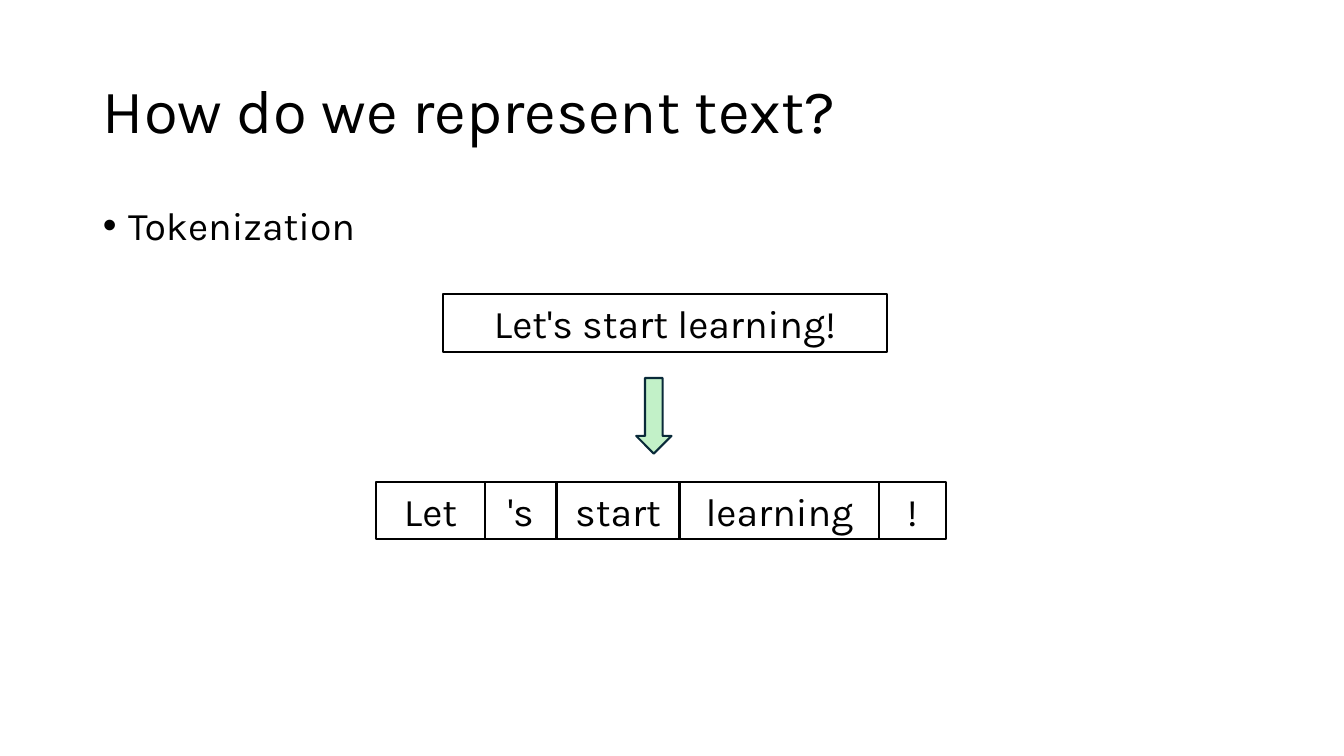
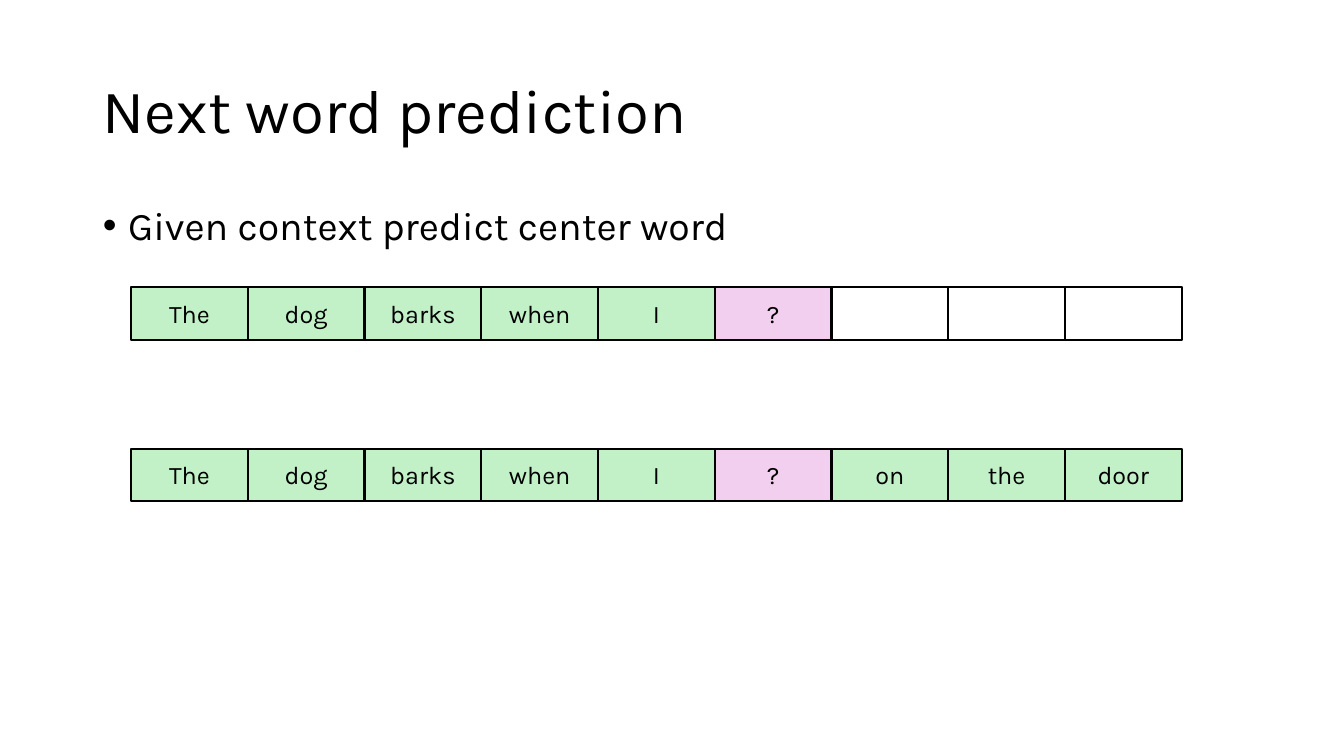
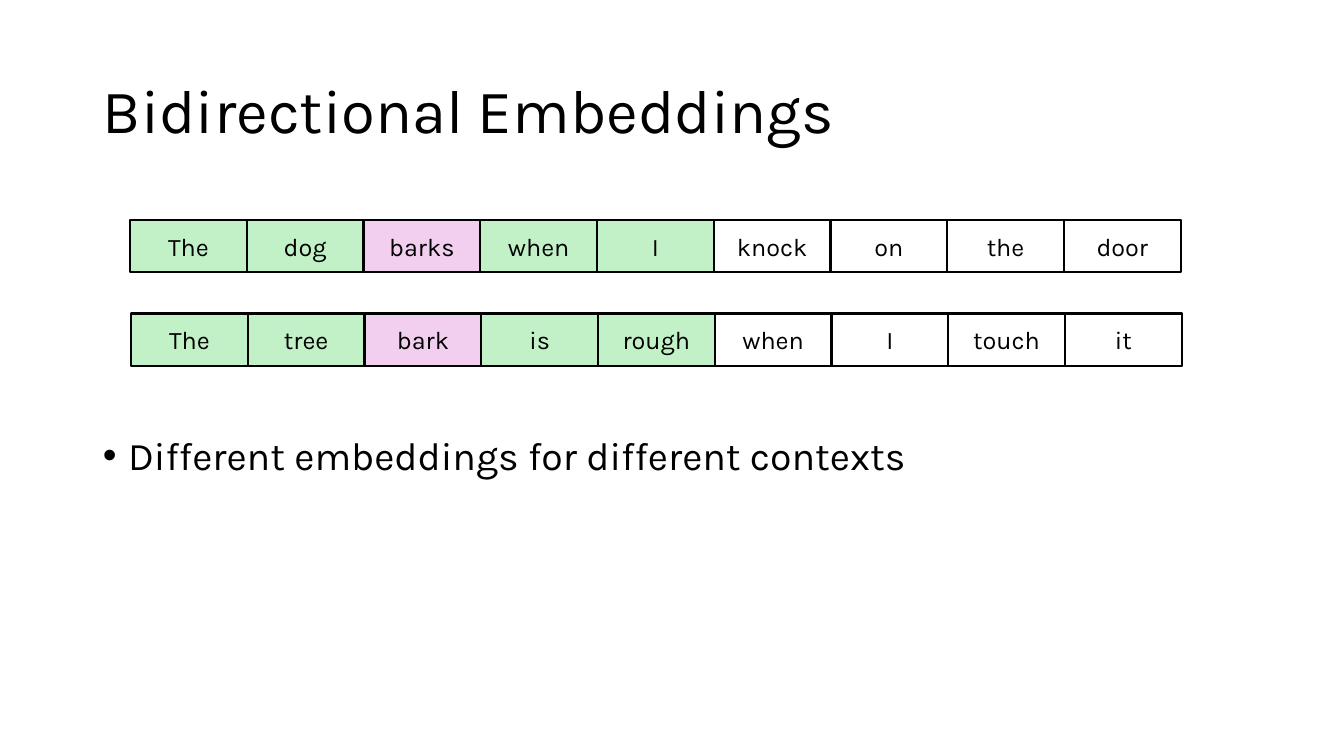
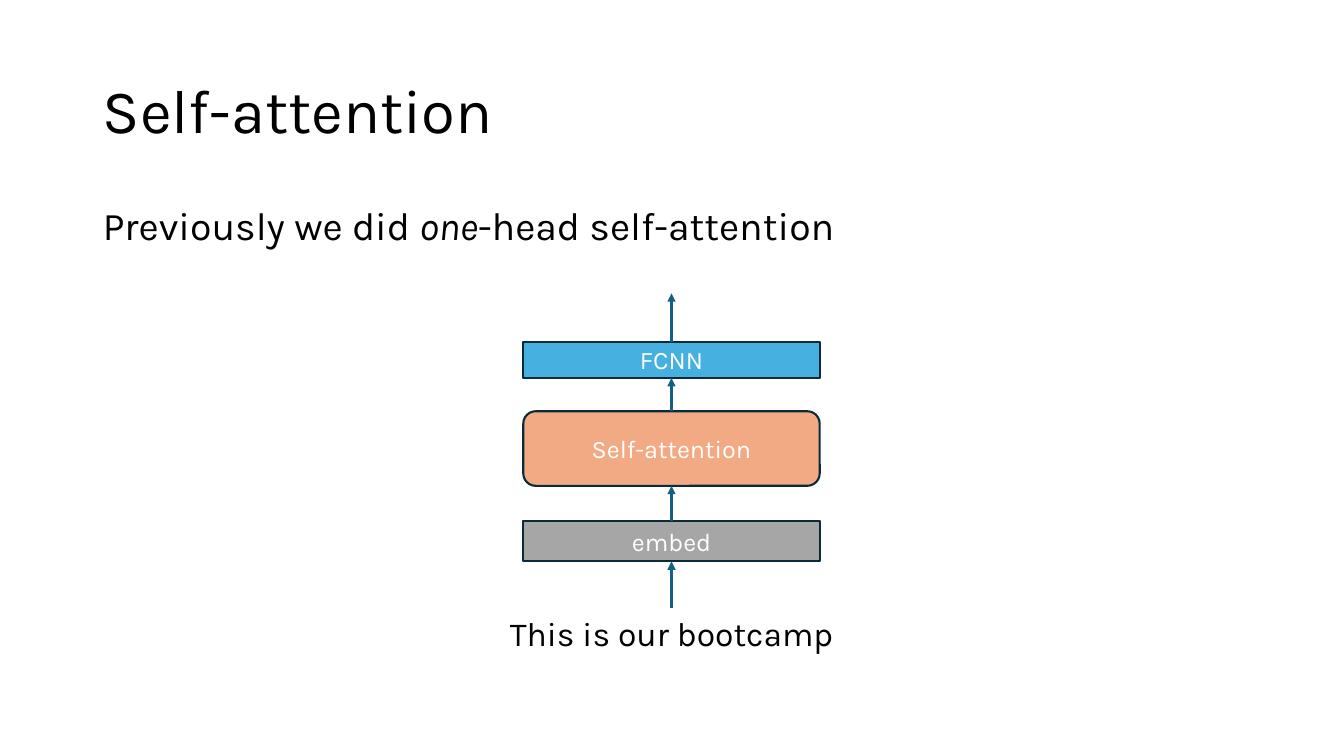
from dataclasses import dataclass
from itertools import accumulate, pairwise

from lxml.etree import SubElement
from pptx import Presentation
from pptx.dml.color import RGBColor
from pptx.enum.shapes import MSO_CONNECTOR, MSO_SHAPE as SHAPE
from pptx.enum.text import MSO_ANCHOR as ANCHOR, MSO_AUTO_SIZE as AUTO, PP_ALIGN as ALIGN
from pptx.oxml.ns import qn
from pptx.util import Inches, Pt

FONT = "Karla"
BLACK = RGBColor(0x00, 0x00, 0x00)
WHITE = RGBColor(0xFF, 0xFF, 0xFF)
GREEN = RGBColor(0xC2, 0xF1, 0xC8)
PINK = RGBColor(0xF2, 0xCF, 0xEE)
GRAY = RGBColor(0xA6, 0xA6, 0xA6)
ORANGE = RGBColor(0xF2, 0xAA, 0x84)
BLUE = RGBColor(0x46, 0xB1, 0xE1)
NAVY = RGBColor(0x09, 0x2A, 0x39)
TEAL = RGBColor(0x15, 0x60, 0x82)

LINE_WIDTH = Pt(1.5)
MARGIN, CONTENT_W = 0.92, 11.5
BODY_TOP, BODY_BOTTOM = 2, 6.76
ROW_LEFT, ROW_W, ROW_H = 1.3, 10.42, 0.52
TOKEN_H = 0.57
STACK_CENTER, LAYER_W = 6.66, 2.94


@dataclass
class WordRow:
    words: list[str]
    top: float
    target: int
    context: range
    left: float = ROW_LEFT


@dataclass
class Layer:
    name: str
    top: float
    height: float
    fill: RGBColor
    kind: SHAPE = SHAPE.RECTANGLE


def write(p, text: str, *, size: float, color: RGBColor = BLACK,
          italic: bool = False, align: ALIGN = ALIGN.CENTER) -> None:
    """Append a formatted run to the paragraph."""
    p.alignment = align
    r = p.add_run()
    r.text = text
    f = r.font
    f.name, f.size, f.italic = FONT, Pt(size), italic
    f.color.rgb = color


def place(sp, left: float, top: float, width: float, height: float) -> None:
    sp.left, sp.top = Inches(left), Inches(top)
    sp.width, sp.height = Inches(width), Inches(height)


def add_slide(prs, title: str, body: list[str], *, bullet: bool = True,
              italic: str = "", body_top: float = BODY_TOP):
    """Add a title and one body line, given as the runs that make it up."""
    s = prs.slides.add_slide(prs.slide_layouts[1])
    heading, content = s.shapes.title, s.placeholders[1]
    place(heading, MARGIN, 0.4, CONTENT_W, 1.45)
    place(content, MARGIN, body_top, CONTENT_W, BODY_BOTTOM - body_top)
    for sp in (heading, content):
        sp.text_frame.auto_size = AUTO.NONE
        p = sp.text_frame.paragraphs[0]
        p.line_spacing, p.space_before = 0.9, Pt(0)
    heading.text_frame.vertical_anchor = ANCHOR.MIDDLE
    write(heading.text_frame.paragraphs[0], title, size=44, align=ALIGN.LEFT)

    p = content.text_frame.paragraphs[0]
    pPr = p._p.get_or_add_pPr()
    indent = Inches(0.25) if bullet else 0
    pPr.set("marL", str(indent))
    pPr.set("indent", str(-indent))
    if bullet:
        SubElement(pPr, qn("a:buFont"), typeface="Arial")
        SubElement(pPr, qn("a:buChar"), char="•")
    else:
        SubElement(pPr, qn("a:buNone"))
    for text in body:
        write(p, text, size=28, italic=text == italic, align=ALIGN.LEFT)
    return s


def add_box(s, left: float, top: float, width: float, height: float, text: str = "", *,
            fill: RGBColor = WHITE, line: RGBColor = BLACK, color: RGBColor = BLACK,
            size: float = 18, kind: SHAPE = SHAPE.RECTANGLE):
    sp = s.shapes.add_shape(kind, Inches(left), Inches(top), Inches(width), Inches(height))
    sp.shadow.inherit = False
    sp.fill.solid()
    sp.fill.fore_color.rgb = fill
    sp.line.color.rgb = line
    sp.line.width = LINE_WIDTH
    if text:
        tf = sp.text_frame
        tf.word_wrap = True
        tf.vertical_anchor = ANCHOR.MIDDLE
        write(tf.paragraphs[0], text, size=size, color=color)
    return sp


def add_word_row(s, row: WordRow) -> None:
    width = ROW_W / len(row.words)
    for i, word in enumerate(row.words):
        fill = PINK if i == row.target else GREEN if i in row.context else WHITE
        add_box(s, row.left + i * width, row.top, width, ROW_H, word, fill=fill)


def add_arrow(s, lower, upper=None, end_y: float = 0) -> None:
    """Point up from the lower shape to the upper one, or to end_y without one."""
    x = lower.left + lower.width // 2
    c = s.shapes.add_connector(MSO_CONNECTOR.STRAIGHT, x, lower.top, x, Inches(end_y))
    c.begin_connect(lower, 0)
    if upper is not None:
        c.end_connect(upper, 2)
    c.line.color.rgb = TEAL
    c.line.width = LINE_WIDTH
    SubElement(c.line._get_or_add_ln(), qn("a:tailEnd"), type="triangle")
    SubElement(c._element.spPr, qn("a:effectLst"))


def tokenization_slide(prs) -> None:
    s = add_slide(prs, "How do we represent text?", ["Tokenization"])
    add_box(s, 4.39, 2.92, 4.41, TOKEN_H, "Let's start learning!", size=28)
    add_box(s, 6.31, 3.75, 0.35, 0.75, fill=GREEN, line=NAVY, kind=SHAPE.DOWN_ARROW)
    tokens = {"Let": 1.08, "'s": 0.71, "start": 1.22, "learning": 1.98, "!": 0.66}
    lefts = accumulate(tokens.values(), initial=3.73)
    for (token, width), left in zip(tokens.items(), lefts):
        add_box(s, left, 4.78, width, TOKEN_H, token, size=28)


def prediction_slide(prs) -> None:
    s = add_slide(prs, "Next word prediction", ["Given context predict center word"])
    start = ["The", "dog", "barks", "when", "I", "?"]
    add_word_row(s, WordRow(start + [""] * 3, 2.85, 5, range(5)))
    add_word_row(s, WordRow(start + ["on", "the", "door"], 4.45, 5, range(9)))


def embeddings_slide(prs) -> None:
    s = add_slide(prs, "Bidirectional Embeddings",
                  ["Different embeddings for different contexts"], body_top=4.28)
    dog = "The dog barks when I knock on the door".split()
    tree = "The tree bark is rough when I touch it".split()
    add_word_row(s, WordRow(dog, 2.18, 2, range(5), left=1.29))
    add_word_row(s, WordRow(tree, 3.11, 2, range(5)))


def attention_slide(prs) -> None:
    s = add_slide(prs, "Self-attention",
                  ["Previously we did ", "one", "-head self-attention"],
                  bullet=False, italic="one")
    width = 3.55
    sentence = s.shapes.add_textbox(Inches(STACK_CENTER - width / 2), Inches(6.03),
                                    Inches(width), Inches(0.5))
    sentence.text_frame.word_wrap = True
    write(sentence.text_frame.paragraphs[0], "This is our bootcamp", size=24)

    layers = [
        Layer("embed", 5.17, 0.4, GRAY),
        Layer("Self-attention", 4.08, 0.74, ORANGE, SHAPE.ROUNDED_RECTANGLE),
        Layer("FCNN", 3.39, 0.36, BLUE),
    ]
    stack = [sentence] + [
        add_box(s, STACK_CENTER - LAYER_W / 2, layer.top, LAYER_W, layer.height, layer.name,
                fill=layer.fill, line=NAVY, color=WHITE, kind=layer.kind)
        for layer in layers
    ]
    for lower, upper in pairwise(stack):
        add_arrow(s, lower, upper)
    add_arrow(s, stack[-1], end_y=2.91)


def main() -> None:
    prs = Presentation()
    prs.slide_width, prs.slide_height = Inches(13.33), Inches(7.5)
    for build in (tokenization_slide, prediction_slide, embeddings_slide, attention_slide):
        build(prs)
    prs.save("out.pptx")


if __name__ == "__main__":
    main()
